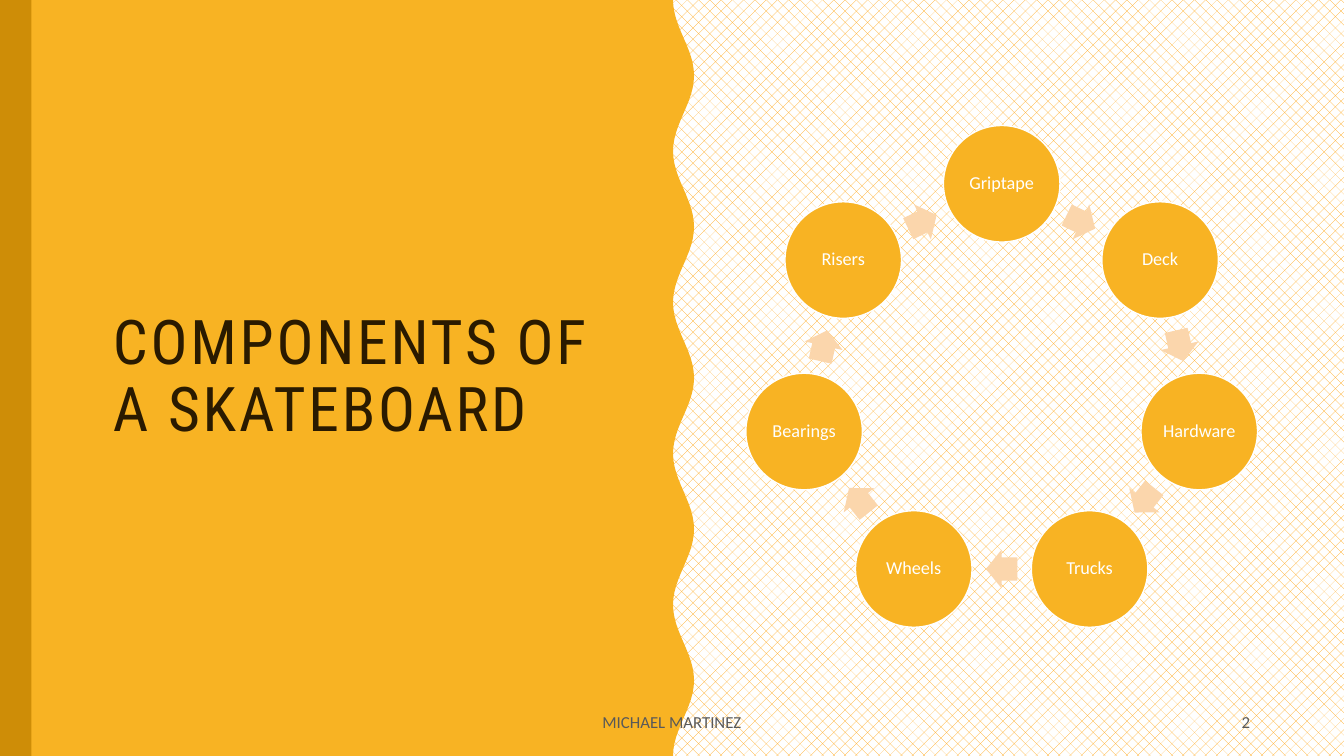
import math

import pptx
import pptx.util
import pptx.dml.color
import pptx.enum.dml
import pptx.enum.shapes
import pptx.enum.text

TITLE = "COMPONENTS OF A SKATEBOARD"
COMPONENTS = ["Griptape", "Deck", "Hardware", "Trucks", "Wheels", "Bearings", "Risers"]
FOOTER = "MICHAEL MARTINEZ"
SLIDE_NUMBER = "2"

COLORS = {
    "panel": "F8B323",
    "stripe": "CE8D07",
    "title": "2A1A00",
    "arrow": "FBD6AC",
    "hatch": "FFA615",
    "footer": "595959",
    "white": "FFFFFF",
}
BODY_FONT = "Calibri"
TITLE_FONT = "Roboto Condensed"

PX = 9525
SLIDE_WIDTH, SLIDE_HEIGHT = 1280, 720
STRIPE_WIDTH = 30
WAVE_MIDDLE, WAVE_DEPTH, WAVE_LENGTH, WAVE_STEP = 651, 10, 144, 6
RING_X, RING_Y, RING_RADIUS = 954, 368, 193
CIRCLE_SIZE = 111
ARROW_WIDTH, ARROW_HEIGHT = 30, 37

SHAPES = pptx.enum.shapes.MSO_SHAPE
ALIGN = pptx.enum.text.PP_ALIGN


def px(value):
    return pptx.util.Emu(round(value * PX))


def color(name):
    return pptx.dml.color.RGBColor.from_string(COLORS[name])


def fill_hatch(fill):
    fill.patterned()
    fill.pattern = pptx.enum.dml.MSO_PATTERN.PERCENT_25
    fill.fore_color.rgb = color("hatch")
    fill.back_color.rgb = color("white")


def fill_solid(shape, name):
    shape.shadow.inherit = False
    shape.fill.solid()
    shape.fill.fore_color.rgb = color(name)
    shape.line.fill.background()


def add_shape(slide, kind, left, top, width, height, fill):
    shape = slide.shapes.add_shape(kind, px(left), px(top), px(width), px(height))
    fill_solid(shape, fill)
    return shape


def write(shape, text, size, font_name, ink, align, spacing=1.0):
    frame = shape.text_frame
    frame.word_wrap = True
    frame.vertical_anchor = pptx.enum.text.MSO_ANCHOR.MIDDLE
    frame.text = text
    paragraph = frame.paragraphs[0]
    paragraph.alignment = align
    paragraph.line_spacing = spacing
    font = paragraph.runs[0].font
    font.size = pptx.util.Pt(size)
    font.name = font_name
    font.color.rgb = color(ink)
    return paragraph


def add_text(slide, left, top, width, height, *style):
    box = slide.shapes.add_textbox(px(left), px(top), px(width), px(height))
    return write(box, *style)


def add_wave_panel(slide):
    edge = [
        (px(WAVE_MIDDLE - WAVE_DEPTH * math.cos(math.tau * y / WAVE_LENGTH)), px(y))
        for y in range(0, SLIDE_HEIGHT + 1, WAVE_STEP)
    ]
    builder = slide.shapes.build_freeform(0, 0)
    builder.add_line_segments(edge + [(0, px(SLIDE_HEIGHT))], close=True)
    fill_solid(builder.convert_to_shape(), "panel")


def ring_corner(angle, radius, width, height):
    left = RING_X + radius * math.sin(angle) - width / 2
    top = RING_Y - radius * math.cos(angle) - height / 2
    return left, top


def add_cycle(slide):
    step = math.tau / len(COMPONENTS)
    arrow_radius = RING_RADIUS * math.cos(step / 2)
    for index, name in enumerate(COMPONENTS):
        left, top = ring_corner(index * step, RING_RADIUS, CIRCLE_SIZE, CIRCLE_SIZE)
        circle = add_shape(slide, SHAPES.OVAL, left, top, CIRCLE_SIZE, CIRCLE_SIZE, "panel")
        circle.line.color.rgb = color("white")
        circle.line.width = pptx.util.Pt(1)
        frame = circle.text_frame
        frame.margin_left = frame.margin_right = px(2)
        frame.margin_top = frame.margin_bottom = px(2)
        write(circle, name, 13, BODY_FONT, "white", ALIGN.CENTER, 0.9)

        angle = (index + 0.5) * step
        left, top = ring_corner(angle, arrow_radius, ARROW_WIDTH, ARROW_HEIGHT)
        arrow = add_shape(slide, SHAPES.RIGHT_ARROW, left, top, ARROW_WIDTH, ARROW_HEIGHT, "arrow")
        arrow.adjustments[0] = 0.6
        arrow.adjustments[1] = 0.5
        arrow.rotation = round(math.degrees(angle), 1)


def main():
    presentation = pptx.Presentation()
    presentation.slide_width = px(SLIDE_WIDTH)
    presentation.slide_height = px(SLIDE_HEIGHT)
    slide = presentation.slides.add_slide(presentation.slide_layouts[6])

    fill_hatch(slide.background.fill)
    backdrop = add_shape(slide, SHAPES.RECTANGLE, 0, 0, SLIDE_WIDTH, SLIDE_HEIGHT, "white")
    fill_hatch(backdrop.fill)
    add_wave_panel(slide)

    title = add_text(slide, 98, 122, 474, 476, TITLE, 44, TITLE_FONT, "title", ALIGN.LEFT, 0.9)
    title.runs[0].font._element.set("spc", "200")
    add_shape(slide, SHAPES.RECTANGLE, 0, 0, STRIPE_WIDTH, SLIDE_HEIGHT, "stripe")

    add_cycle(slide)

    add_text(slide, 424, 669, 432, 37, FOOTER, 12, BODY_FONT, "footer", ALIGN.CENTER)
    add_text(slide, 904, 669, 296, 37, SLIDE_NUMBER, 12, BODY_FONT, "footer", ALIGN.RIGHT)

    presentation.save("out.pptx")


if __name__ == "__main__":
    main()
